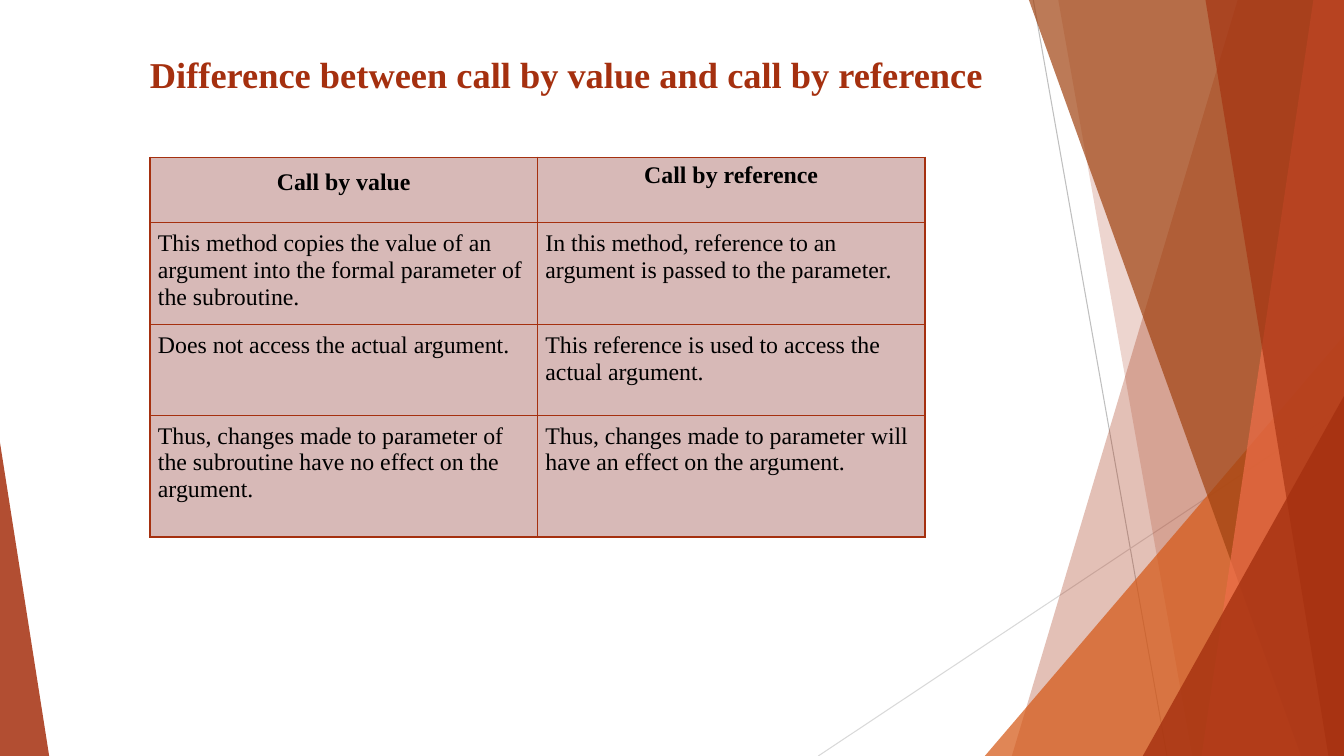
from dataclasses import dataclass

from lxml.etree import SubElement
from pptx import Presentation
from pptx.dml.color import RGBColor
from pptx.enum.shapes import MSO_CONNECTOR, MSO_SHAPE
from pptx.enum.text import MSO_ANCHOR, PP_ALIGN
from pptx.oxml.ns import qn
from pptx.util import Cm, Pt


@dataclass(frozen=True)
class Theme:
    font: str = "Times New Roman"
    title_size: int = 26
    cell_size: int = 17
    red: str = "A5300F"
    orange: str = "D55816"
    brown: str = "A04210"
    coral: str = "EE6E4A"
    text: str = "000000"
    cell: str = "D7B9B7"
    dark_line: str = "BFBFBF"
    light_line: str = "D9D9D9"


THEME = Theme()
WIDTH, HEIGHT = 33.87, 19.05

ROWS = [
    ("Call by value", "Call by reference"),
    ("This method copies the value of an argument into the formal parameter of the subroutine.",
     "In this method, reference to an argument is passed to the parameter."),
    ("Does not access the actual argument.",
     "This reference is used to access the actual argument."),
    ("Thus, changes made to parameter of the subroutine have no effect on the argument.",
     "Thus, changes made to parameter will have an effect on the argument."),
]
ROW_HEIGHTS = [1.65, 2.06, 2.29, 3.07]


def write(tf, text, size, color=THEME.text, bold=False, align=PP_ALIGN.LEFT):
    tf.word_wrap = True
    p = tf.paragraphs[0]
    p.alignment = align
    r = p.add_run()
    r.text = text
    r.font.name = THEME.font
    r.font.size = Pt(size)
    r.font.bold = bold
    r.font.color.rgb = RGBColor.from_string(color)


def paint(sp, color, opacity):
    """Give a shape a flat, partly transparent fill without line or shadow."""
    sp.shadow.inherit = False
    sp.line.fill.background()
    sp.fill.solid()
    sp.fill.fore_color.rgb = RGBColor.from_string(color)
    clr = sp.fill._xPr.find(qn("a:solidFill"))[0]
    SubElement(clr, qn("a:alpha"), val=str(opacity * 1000))


def add_line(s, x1, y1, x2, y2, color):
    line = s.shapes.add_connector(MSO_CONNECTOR.STRAIGHT, Cm(x1), Cm(y1), Cm(x2), Cm(y2))
    line.line.color.rgb = RGBColor.from_string(color)
    line.line.width = Pt(0.75)
    SubElement(line._element.spPr, qn("a:effectLst"))


def add_band(s, box, top, bottom, color, opacity):
    """Fill the right side of the box from a slanted edge, measured from the right."""
    x, y, w, h = box
    right, base = x + w, y + h
    corners = [(right - top, y), (right, y), (right, base), (right - bottom, base)]
    points = [(Cm(px), Cm(py)) for px, py in corners]
    fb = s.shapes.build_freeform(*points[0], scale=1.0)
    fb.add_line_segments(points[1:], close=True)
    paint(fb.convert_to_shape(), color, opacity)


def add_wedge(s, box, peak, color, opacity):
    """Fill the box with a triangle whose peak is at the left (0) or right (1)."""
    sp = s.shapes.add_shape(MSO_SHAPE.ISOSCELES_TRIANGLE, *map(Cm, box))
    sp.adjustments[0] = peak
    paint(sp, color, opacity)


def add_facets(s, box):
    x, y, w, h = box
    right, base = x + w, y + h

    def corner(width, height):
        return right - width, base - height, width, height

    add_line(s, right - 7.83, y, right - 4.46, base, THEME.dark_line)
    add_line(s, right, base - 8.81, x, base, THEME.light_line)
    add_band(s, box, 2.68, 8.37, THEME.red, 30)
    add_band(s, box, 7.2, 3.82, THEME.red, 20)
    add_wedge(s, corner(9.05, 10.59), 1, THEME.orange, 72)
    add_band(s, box, 7.94, 1.08, THEME.brown, 70)
    add_band(s, box, 0.77, 3.59, THEME.coral, 70)
    add_band(s, box, 3.49, 0.39, THEME.red, 65)
    add_wedge(s, corner(5.07, 9.07), 1, THEME.red, 80)


def add_title(s, box, text):
    tf = s.shapes.add_textbox(*map(Cm, box)).text_frame
    tf.vertical_anchor = MSO_ANCHOR.MIDDLE
    write(tf, text, THEME.title_size, color=THEME.red, bold=True)


def add_borders(cell, color):
    tc_pr = cell._tc.get_or_add_tcPr()
    for side in ("lnL", "lnR", "lnT", "lnB"):
        ln = SubElement(tc_pr, qn(f"a:{side}"), w=str(Pt(1)))
        SubElement(SubElement(ln, qn("a:solidFill")), qn("a:srgbClr"), val=color)


def set_margins(cell, side, top):
    cell.margin_left = cell.margin_right = Cm(side)
    cell.margin_top = cell.margin_bottom = Cm(top)


def add_comparison(s, box):
    table = s.shapes.add_table(len(ROWS), len(ROWS[0]), *map(Cm, box)).table
    for row, height in zip(table.rows, ROW_HEIGHTS):
        row.height = Cm(height)
    for i, texts in enumerate(ROWS):
        header = i == 0
        margins = [(0.3, 0.3), (0.25, 0.13)] if header else [(0.2, 0.2)] * 2
        for j, text in enumerate(texts):
            cell = table.cell(i, j)
            set_margins(cell, *margins[j])
            add_borders(cell, THEME.red)
            cell.fill.solid()
            cell.fill.fore_color.rgb = RGBColor.from_string(THEME.cell)
            write(cell.text_frame, text, THEME.cell_size, bold=header,
                  align=PP_ALIGN.CENTER if header else PP_ALIGN.LEFT)


def main():
    prs = Presentation()
    prs.slide_width, prs.slide_height = Cm(WIDTH), Cm(HEIGHT)
    s = prs.slides.add_slide(prs.slide_layouts[6])
    add_facets(s, (20.62, 0, WIDTH - 20.62, HEIGHT))
    add_wedge(s, (0, 11.15, 1.24, HEIGHT - 11.15), 0, THEME.red, 85)
    add_title(s, (3.53, 1.09, 22.91, 1.57),
              "Difference between call by value and call by reference")
    add_comparison(s, (3.78, 3.96, 19.53, sum(ROW_HEIGHTS)))
    prs.save("out.pptx")


if __name__ == "__main__":
    main()
